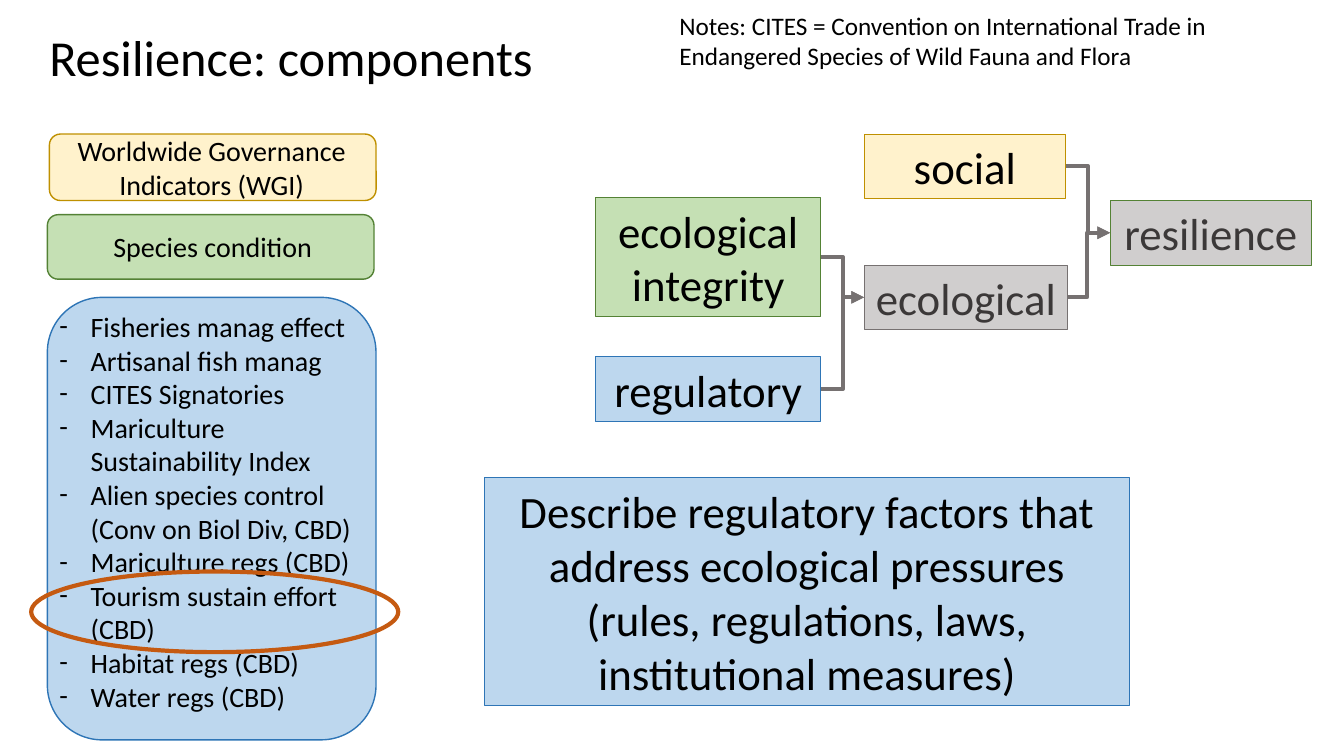
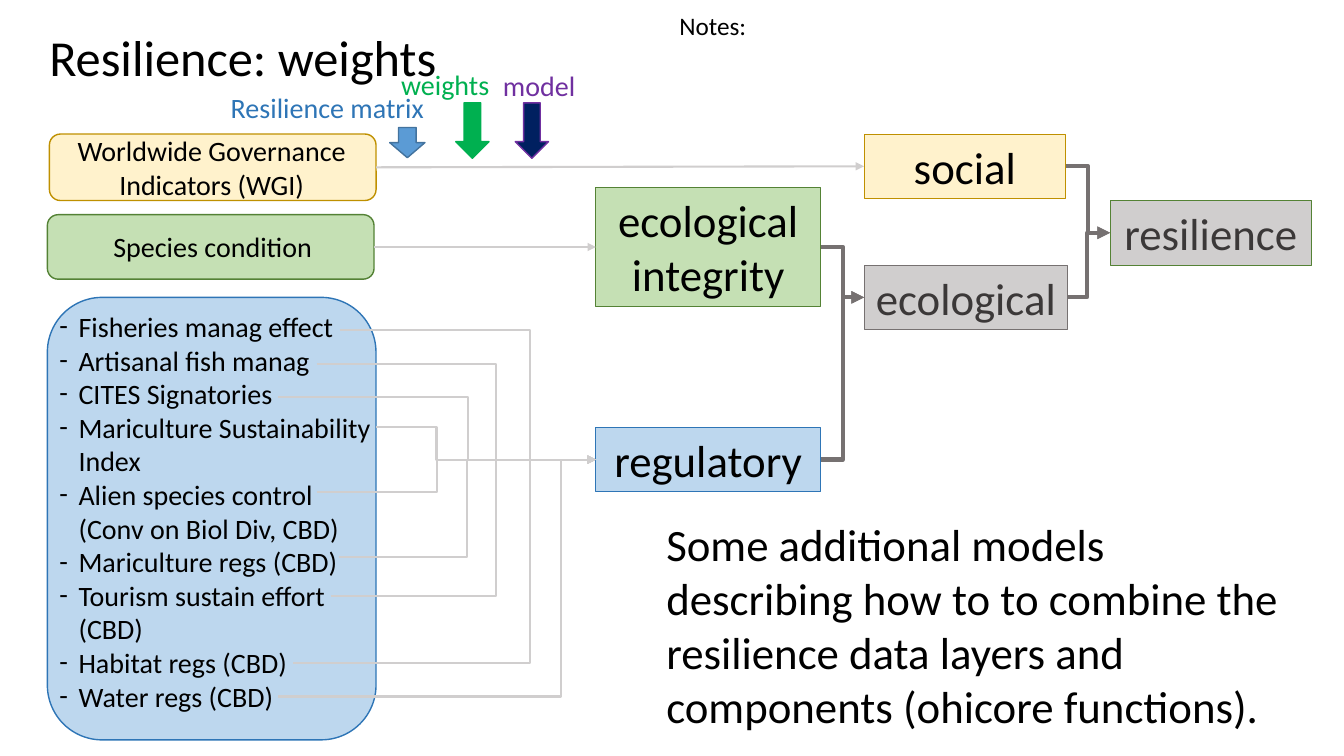
"""Build two slides on the components and the weights of resilience."""
from lxml import etree
from pptx import Presentation
from pptx import util as u
from pptx.dml.color import RGBColor
from pptx.enum import shapes, text
from pptx.oxml.ns import qn

FONT = "Calibri"
BLACK = RGBColor(0x00, 0x00, 0x00)
CHARCOAL = RGBColor(0x3B, 0x38, 0x38)
GREY = RGBColor(0x76, 0x71, 0x71)
SILVER = RGBColor(0xD0, 0xCE, 0xCE)
CREAM, GOLD = RGBColor(0xFF, 0xF2, 0xCC), RGBColor(0xBF, 0x90, 0x00)
MINT, GREEN = RGBColor(0xC5, 0xE0, 0xB4), RGBColor(0x54, 0x82, 0x35)
SKY, BLUE = RGBColor(0xBD, 0xD7, 0xEE), RGBColor(0x2E, 0x75, 0xB6)
ORANGE = RGBColor(0xC5, 0x5A, 0x11)
STEEL, STEEL_EDGE = RGBColor(0x5B, 0x9B, 0xD5), RGBColor(0x43, 0x73, 0x9E)
EMERALD = RGBColor(0x00, 0xB0, 0x50)
NAVY, PURPLE = RGBColor(0x00, 0x20, 0x60), RGBColor(0x70, 0x30, 0xA0)

SOURCES, INPUTS, GROUPS, RESULT = 0.47, 5.91, 8.57, 11.01
ROW = 0.64
REGULATIONS = [
    "Fisheries manag effect",
    "Artisanal fish manag",
    "CITES Signatories",
    "Mariculture Sustainability Index",
    "Alien species control (Conv on Biol Div, CBD)",
    "Mariculture regs (CBD)",
    "Tourism sustain effort (CBD)",
    "Habitat regs (CBD)",
    "Water regs (CBD)",
]
REGULATION_LINES = [
    (3.37, 3.27, 5.26), (3.14, 3.61, 4.92), (2.76, 3.94, 4.64),
    (3.73, 4.24, 4.33), (3.14, 4.88, 4.33), (3.36, 5.53, 4.63),
    (3.28, 5.91, 4.92), (2.91, 6.58, 5.26), (2.76, 6.91, 5.56),
]
STEPS = [
    ("Resilience matrix", BLUE, (2.19, 0.85, 2.34, 0.44),
     STEEL, STEEL_EDGE, (3.89, 1.24, 0.3, 0.35)),
    ("weights", EMERALD, (3.88, 0.62, 2.34, 0.44),
     EMERALD, EMERALD, (4.41, 1.13, 0.55, 0.33)),
    ("model", PURPLE, (4.89, 0.63, 1.15, 0.44),
     NAVY, PURPLE, (5, 1.13, 0.55, 0.33)),
]
COMPONENTS = {
    "title": "Resilience: components",
    "notes": ("Notes: CITES = Convention on International Trade in "
              "Endangered Species of Wild Fauna and Flora"),
    "notes_size": (6.56, 0.71), "integrity": 1.96, "regulatory": 3.54, "indent": 0.31,
}
WEIGHTS = {
    "title": "Resilience: weights", "notes": "Notes:",
    "notes_size": (7.95, 0.4), "integrity": 1.86, "regulatory": 4.24, "indent": 0.19,
}
TASK = ["Describe regulatory factors that address ecological pressures",
        "(rules, regulations, laws, institutional measures)"]
MODELS = ("Some additional models describing how to to combine the resilience "
          "data layers and components (ohicore functions).")


def inches(values):
    return [u.Inches(value) for value in values]


def write(frame, words, size=20, color=BLACK, centered=False, indent=0):
    frame.word_wrap = True
    for index, line in enumerate([words] if isinstance(words, str) else words):
        paragraph = frame.paragraphs[0] if index == 0 else frame.add_paragraph()
        paragraph.alignment = text.PP_ALIGN.CENTER if centered else text.PP_ALIGN.LEFT
        run = paragraph.add_run()
        run.text = line
        run.font.name, run.font.size, run.font.color.rgb = FONT, u.Pt(size), color
        if indent:
            properties = paragraph._p.get_or_add_pPr()
            properties.set("marL", str(u.Inches(indent)))
            properties.set("indent", str(-u.Inches(indent)))
            etree.SubElement(properties, qn("a:buFont"), typeface=FONT)
            etree.SubElement(properties, qn("a:buChar"), char="-")


def label(slide, words, place, **style):
    frame = slide.shapes.add_textbox(*inches(place)).text_frame
    write(frame, words, **style)
    frame.auto_size = text.MSO_AUTO_SIZE.SHAPE_TO_FIT_TEXT


def outline(slide, kind, place, fill, edge, width=1):
    shape = slide.shapes.add_shape(kind, *inches(place))
    shape.shadow.inherit = False
    if fill is None:
        shape.fill.background()
    else:
        shape.fill.solid()
        shape.fill.fore_color.rgb = fill
    shape.line.color.rgb, shape.line.width = edge, u.Pt(width)
    return shape


def box(slide, words, place, fill, edge, color=BLACK):
    shape = outline(slide, shapes.MSO_SHAPE.RECTANGLE, place, fill, edge, 0.75)
    write(shape.text_frame, words, size=32, color=color, centered=True)
    return shape


def arrow(slide, start, target, trunk=None, color=SILVER, width=1.5):
    kind = shapes.MSO_CONNECTOR.ELBOW if trunk else shapes.MSO_CONNECTOR.STRAIGHT
    x, y = inches(start) if isinstance(start, tuple) else (
        start.left + start.width, start.top + start.height // 2)
    end_x, end_y = target.left, target.top + target.height // 2
    link = slide.shapes.add_connector(kind, x, y, end_x, end_y)
    if not isinstance(start, tuple):
        link.begin_connect(start, 3)
    link.end_connect(target, 1)
    link.line.color.rgb, link.line.width = color, u.Pt(width)
    etree.SubElement(link.line._get_or_add_ln(), qn("a:tailEnd"), type="triangle")
    properties = link._element.spPr
    etree.SubElement(properties, qn("a:effectLst"))
    if trunk:
        share = round((u.Inches(trunk) - x) / (end_x - x) * 100000)
        guides = properties.find(qn("a:prstGeom")).get_or_add_avLst()
        etree.SubElement(guides, qn("a:gd"), name="adj1", fmla=f"val {share}")


def framework(deck, content):
    slide = deck.slides.add_slide(deck.slide_layouts[6])
    label(slide, content["title"], (0.39, 0.21, 6.21, 0.71), size=36)
    label(slide, content["notes"], (6.64, 0.05, *content["notes_size"]), size=18)

    ecological = box(slide, "ecological", (GROUPS, 2.63, 2.02, ROW), SILVER, GREY, CHARCOAL)
    resilience = box(slide, "resilience", (RESULT, 1.99, 2, ROW), SILVER, GREEN, CHARCOAL)
    social = box(slide, "social", (GROUPS, 1.33, 2, ROW), CREAM, GOLD)
    regulatory = box(slide, "regulatory",
                     (INPUTS, content["regulatory"], 2.23, ROW), SKY, BLUE)
    integrity = box(slide, "ecological integrity",
                    (INPUTS, content["integrity"], 2.23, 1.18), MINT, GREEN)

    rounded = shapes.MSO_SHAPE.ROUNDED_RECTANGLE
    species = outline(slide, rounded, (SOURCES, 2.13, 3.24, ROW), MINT, GREEN)
    governance = outline(slide, rounded, (0.49, 1.33, 3.24, 0.66), CREAM, GOLD)
    outline(slide, rounded, (SOURCES, 2.95, 3.26, 4.39), SKY, BLUE)
    label(slide, "Worldwide Governance Indicators (WGI)", (0.55, 1.28, 3.1, 0.77),
          centered=True)
    label(slide, "Species condition", (0.56, 2.23, 3.1, 0.44), centered=True)
    label(slide, REGULATIONS, (0.49, 3.02, 3.39, 4.48), indent=content["indent"])

    for start, target, trunk in [
        (social, resilience, 10.79), (ecological, resilience, 10.78),
        (integrity, ecological, 8.36), (regulatory, ecological, 8.36),
    ]:
        arrow(slide, start, target, trunk, GREY, 3)
    return slide, governance, species, social, integrity, regulatory


def components(deck):
    slide = framework(deck, COMPONENTS)[0]
    outline(slide, shapes.MSO_SHAPE.OVAL, (0.31, 5.67, 3.64, 0.8), None, ORANGE, 3)
    box(slide, TASK, (4.81, 4.74, 6.39, 2.26), SKY, BLUE)


def weights(deck):
    slide, governance, species, social, integrity, regulatory = framework(deck, WEIGHTS)
    arrow(slide, governance, social)
    arrow(slide, species, integrity)
    for x, y, trunk in REGULATION_LINES:
        arrow(slide, (x, y), regulatory, trunk)
    label(slide, MODELS, (6.51, 5.08, 6.41, 2.26), size=32)
    for words, color, words_place, fill, edge, pointer_place in STEPS:
        pointer = outline(slide, shapes.MSO_SHAPE.RIGHT_ARROW, pointer_place, fill, edge)
        pointer.rotation = 90
        label(slide, words, words_place, color=color)


deck = Presentation()
deck.slide_width, deck.slide_height = u.Inches(13.33), u.Inches(7.5)
components(deck)
weights(deck)
deck.save("out.pptx")
